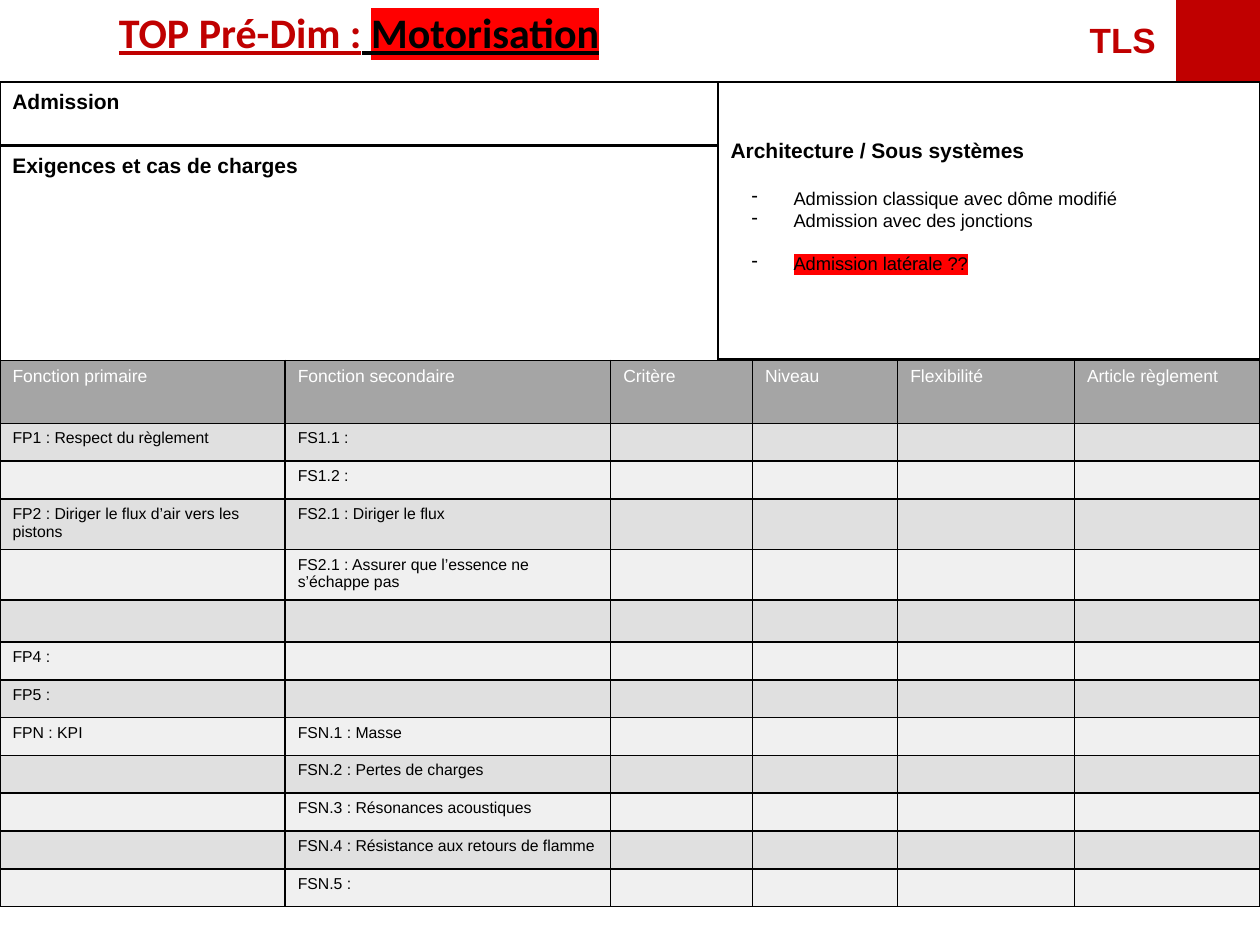
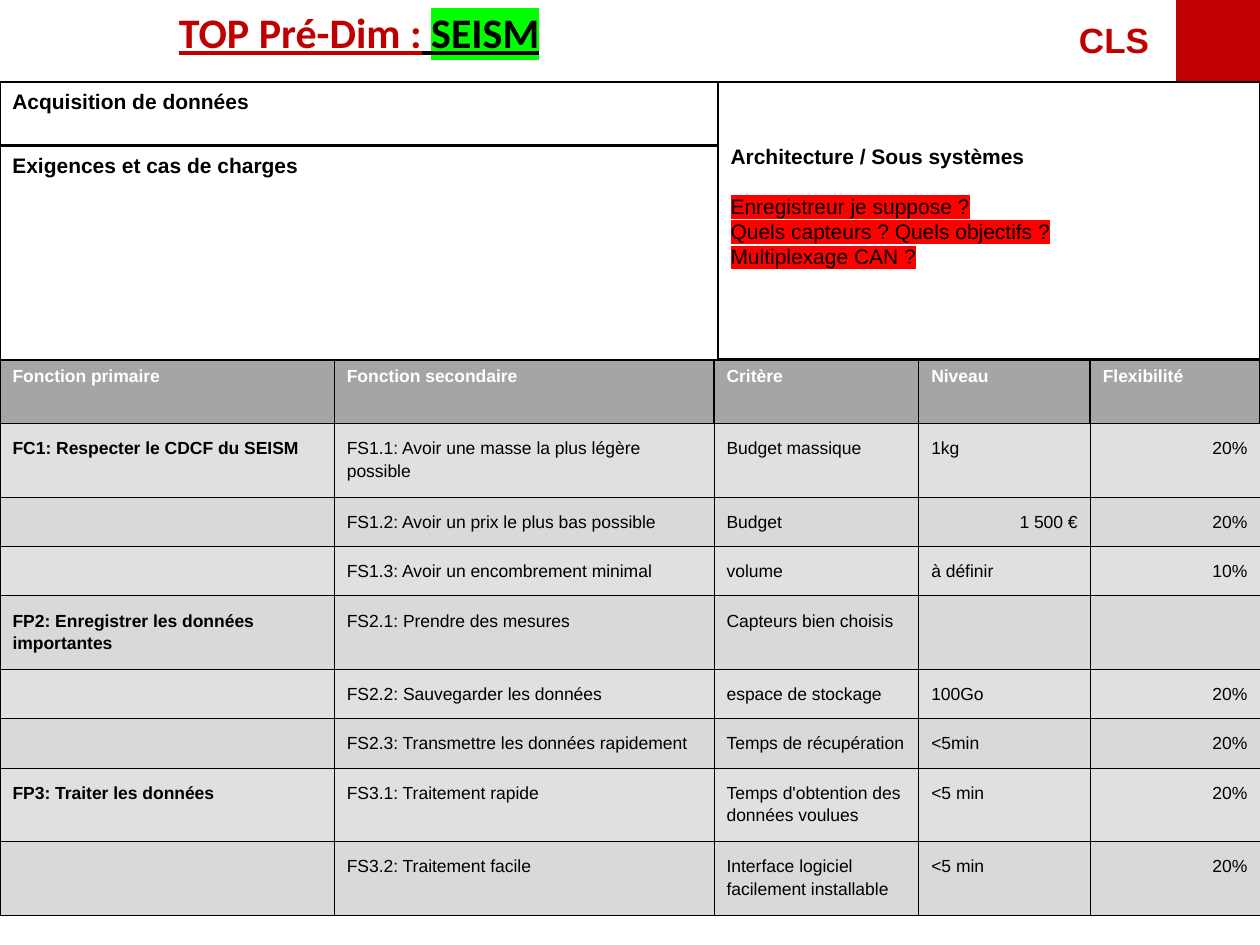
from lxml import etree
from pptx import Presentation
from pptx import util as u
from pptx.dml import color
from pptx.enum import shapes, text
from pptx.oxml import ns

BLACK, WHITE, BRAND_RED = "000000", "FFFFFF", "C00000"
ALERT_RED, OK_GREEN = "FF0000", "00FF00"
HEADER_GREY, LIGHT_GREY, PALE_GREY, MID_GREY = "A5A5A5", "E0E0E0", "F0F0F0", "D9D9D9"
SLIDE_W, SLIDE_H = 720, 540
LEFT_W, BAND_H, TABLE_TOP = 410.4, 46.8, 205.9
HEADER_ROW_H, ROW_H = 36, 21.6

ADMISSION_ROWS = [
    ("Fonction primaire", "Fonction secondaire", "Critère", "Niveau", "Flexibilité", "Article règlement"),
    ("FP1 : Respect du règlement", "FS1.1 :"),
    ("", "FS1.2 :"),
    ("FP2 : Diriger le flux d’air vers les pistons", "FS2.1 : Diriger le flux"),
    ("", "FS2.1 : Assurer que l’essence ne s’échappe pas"),
    (),
    ("FP4 :",),
    ("FP5 :",),
    ("FPN : KPI", "FSN.1 : Masse"),
    ("", "FSN.2 : Pertes de charges"),
    ("", "FSN.3 : Résonances acoustiques"),
    ("", "FSN.4 : Résistance aux retours de flamme"),
    ("", "FSN.5 :"),
]
ACQUISITION_ROWS = [
    ("Fonction primaire", "Fonction secondaire", "Critère", "Niveau", "Flexibilité"),
    ("FC1: Respecter le CDCF du SEISM", "FS1.1: Avoir une masse la plus légère possible",
     "Budget massique", "1kg", "20%"),
    ("", "FS1.2: Avoir un prix le plus bas possible", "Budget", "1 500 €", "20%"),
    ("", "FS1.3: Avoir un encombrement minimal", "volume", "à définir", "10%"),
    ("FP2: Enregistrer les données importantes", "FS2.1: Prendre des mesures", "Capteurs bien choisis"),
    ("", "FS2.2: Sauvegarder les données", "espace de stockage", "100Go", "20%"),
    ("", "FS2.3: Transmettre les données rapidement", "Temps de récupération", "<5min", "20%"),
    ("FP3: Traiter les données", "FS3.1: Traitement rapide",
     "Temps d'obtention des données voulues", "<5 min", "20%"),
    ("", "FS3.2: Traitement facile", "Interface logiciel facilement installable", "<5 min", "20%"),
]


def rgb(hex_code):
    """Turn a hex string into a colour."""
    return color.RGBColor.from_string(hex_code)


def box(*lengths):
    """Convert left, top, width and height from points."""
    return [u.Pt(length) for length in lengths]


def set_font(paragraph, size, hex_code=BLACK, bold=False, name="Arial"):
    """Format a whole paragraph."""
    font = paragraph.font
    font.size, font.bold, font.name = u.Pt(size), bold, name
    font.color.rgb = rgb(hex_code)


def add_child(parent, tag, **attributes):
    """Append a DrawingML element to a parent element."""
    return etree.SubElement(parent, ns.qn(tag), attributes)


def add_run(paragraph, words, hex_code=BLACK, highlight=None):
    """Add a coloured run, highlighted on request."""
    run = paragraph.add_run()
    run.text = words
    run.font.color.rgb = rgb(hex_code)
    if highlight:
        marker = add_child(run.font._element, "a:highlight")
        add_child(marker, "a:srgbClr", val=highlight)


def add_dash(paragraph):
    """Give a paragraph a hanging dash bullet."""
    properties = paragraph._p.get_or_add_pPr()
    properties.set("marL", str(u.Pt(36)))
    properties.set("indent", str(u.Pt(-24)))
    add_child(add_child(properties, "a:buClr"), "a:srgbClr", val=BLACK)
    add_child(properties, "a:buChar", char="-")


def add_title(slide, subject, highlight):
    """Place the underlined title with its highlighted subject."""
    title = slide.shapes.title
    title.left, title.top, title.width, title.height = box(0, 0, LEFT_W, 36)
    frame = title.text_frame
    frame.auto_size = text.MSO_AUTO_SIZE.NONE
    frame.vertical_anchor = text.MSO_ANCHOR.TOP
    paragraph = frame.paragraphs[0]
    paragraph.alignment = text.PP_ALIGN.CENTER
    set_font(paragraph, 24, bold=True, name="Calibri")
    paragraph.font.underline = True
    add_run(paragraph, "TOP Pré-Dim :", BRAND_RED)
    add_run(paragraph, " ")
    add_run(paragraph, subject, highlight=highlight)


def add_code(slide, code, left, width):
    """Write the team code beside the corner block."""
    frame = slide.shapes.add_textbox(*box(left, 7.2, width, 31.7)).text_frame
    frame.word_wrap = True
    frame.text = code
    set_font(frame.paragraphs[0], 20, BRAND_RED, bold=True)


def add_block(slide, bounds, fill=None):
    """Draw a rectangle, filled or outlined in black."""
    block = slide.shapes.add_shape(shapes.MSO_SHAPE.RECTANGLE, *box(*bounds))
    block.shadow.inherit = False
    if fill:
        block.fill.solid()
        block.fill.fore_color.rgb = rgb(fill)
        block.line.fill.background()
    else:
        block.fill.background()
        block.line.color.rgb = rgb(BLACK)
        block.line.width = u.Pt(1)
    return block


def add_panel(slide, heading, bounds):
    """Draw an outlined panel with a bold heading and return its text frame."""
    frame = add_block(slide, bounds).text_frame
    frame.vertical_anchor = text.MSO_ANCHOR.TOP
    frame.word_wrap = True
    frame.text = heading
    frame.paragraphs[0].alignment = text.PP_ALIGN.LEFT
    set_font(frame.paragraphs[0], 12, bold=True)
    return frame


def add_architecture(slide, notes, size, dashed=False):
    """Add the architecture panel; notes are (words, highlight, space before)."""
    frame = add_panel(slide, "Architecture / Sous systèmes",
                      (LEFT_W, BAND_H, SLIDE_W - LEFT_W, 158.4))
    frame.vertical_anchor = text.MSO_ANCHOR.MIDDLE
    frame.margin_bottom = u.Pt(19.7)
    for words, highlight, gap in notes:
        paragraph = frame.add_paragraph()
        paragraph.alignment = text.PP_ALIGN.LEFT
        paragraph.space_before = u.Pt(gap)
        if dashed:
            add_dash(paragraph)
        set_font(paragraph, size)
        add_run(paragraph, words, highlight=highlight)


def set_borders(cell, side_width, bottom_width):
    """Draw black borders around a cell."""
    properties = cell._tc.get_or_add_tcPr()
    widths = {"a:lnL": side_width, "a:lnR": side_width, "a:lnT": side_width, "a:lnB": bottom_width}
    for tag, width in widths.items():
        line = add_child(properties, tag, w=str(u.Pt(width)))
        add_child(add_child(line, "a:solidFill"), "a:srgbClr", val=BLACK)


def fill_cell(cell, words, fill, size, hex_code, bold):
    """Write, format and fill one cell."""
    cell.fill.solid()
    cell.fill.fore_color.rgb = rgb(fill)
    cell.text = words
    paragraph = cell.text_frame.paragraphs[0]
    set_font(paragraph, size, hex_code, bold)
    if words.endswith(("%", "€")):
        paragraph.alignment = text.PP_ALIGN.RIGHT


def add_functions(slide, rows, widths, bands, size, border, bold=False, airy=False, tall_rows=()):
    """Add the table of functions with its header and alternating bands."""
    heights = [HEADER_ROW_H] + [ROW_H] * (len(rows) - 1)
    for row in tall_rows:
        heights[row] = 24
    table = slide.shapes.add_table(len(rows), len(widths),
                                   *box(0, TABLE_TOP, SLIDE_W, sum(heights))).table
    table.first_row = table.horz_banding = False
    for column, width in zip(table.columns, widths):
        column.width = u.Pt(width)
    for r, (entries, height) in enumerate(zip(rows, heights)):
        table.rows[r].height = u.Pt(height)
        for c in range(len(widths)):
            cell = table.cell(r, c)
            words = entries[c] if c < len(entries) else ""
            if r == 0:
                set_borders(cell, 1, border)
                fill_cell(cell, words, HEADER_GREY, 10, WHITE, bold)
                continue
            set_borders(cell, border, border)
            fill_cell(cell, words, bands[(r - 1) % 2], size, BLACK, bold and c == 0)
            if airy:
                cell.margin_top = cell.margin_bottom = u.Pt(7.2)
                cell.text_frame.paragraphs[0].line_spacing = 1.15


def add_sheet(deck, subject, highlight, part, needs_height):
    """Add a slide with the title, corner block and left panels."""
    slide = deck.slides.add_slide(deck.slide_layouts[5])
    add_title(slide, subject, highlight)
    add_panel(slide, part, (0, BAND_H, LEFT_W, 36))
    add_panel(slide, "Exigences et cas de charges", (0, 83.5, LEFT_W, needs_height))
    add_block(slide, (672, 0, 48, BAND_H), BRAND_RED)
    return slide


def main():
    """Build both pre-dimensioning sheets."""
    deck = Presentation()
    deck.slide_width, deck.slide_height = box(SLIDE_W, SLIDE_H)

    admission = add_sheet(deck, "Motorisation", ALERT_RED, "Admission", 136.8)
    add_code(admission, "TLS", 615.6, 56.2)
    add_architecture(admission, [
        ("Admission classique avec dôme modifié", None, 13.8),
        ("Admission avec des jonctions", None, 0),
        ("Admission latérale ??", ALERT_RED, 12.1),
    ], 10.5, dashed=True)
    add_functions(admission, ADMISSION_ROWS, (163, 186, 81, 83, 101, 106),
                  (LIGHT_GREY, PALE_GREY), 9, 1, tall_rows=(5,))

    acquisition = add_sheet(deck, "SEISM", OK_GREEN, "Acquisition de données", 122.4)
    add_code(acquisition, "CLS", 609.5, 62.6)
    add_architecture(acquisition, [
        ("Enregistreur je suppose ?", ALERT_RED, 13.8),
        ("Quels capteurs ? Quels objectifs ?", ALERT_RED, 0),
        ("Multiplexage CAN ?", ALERT_RED, 0),
    ], 12)
    add_functions(acquisition, ACQUISITION_ROWS, (191, 217, 117, 98, 97),
                  (LIGHT_GREY, MID_GREY), 10, 0.5, bold=True, airy=True)

    deck.save("out.pptx")


if __name__ == "__main__":
    main()
